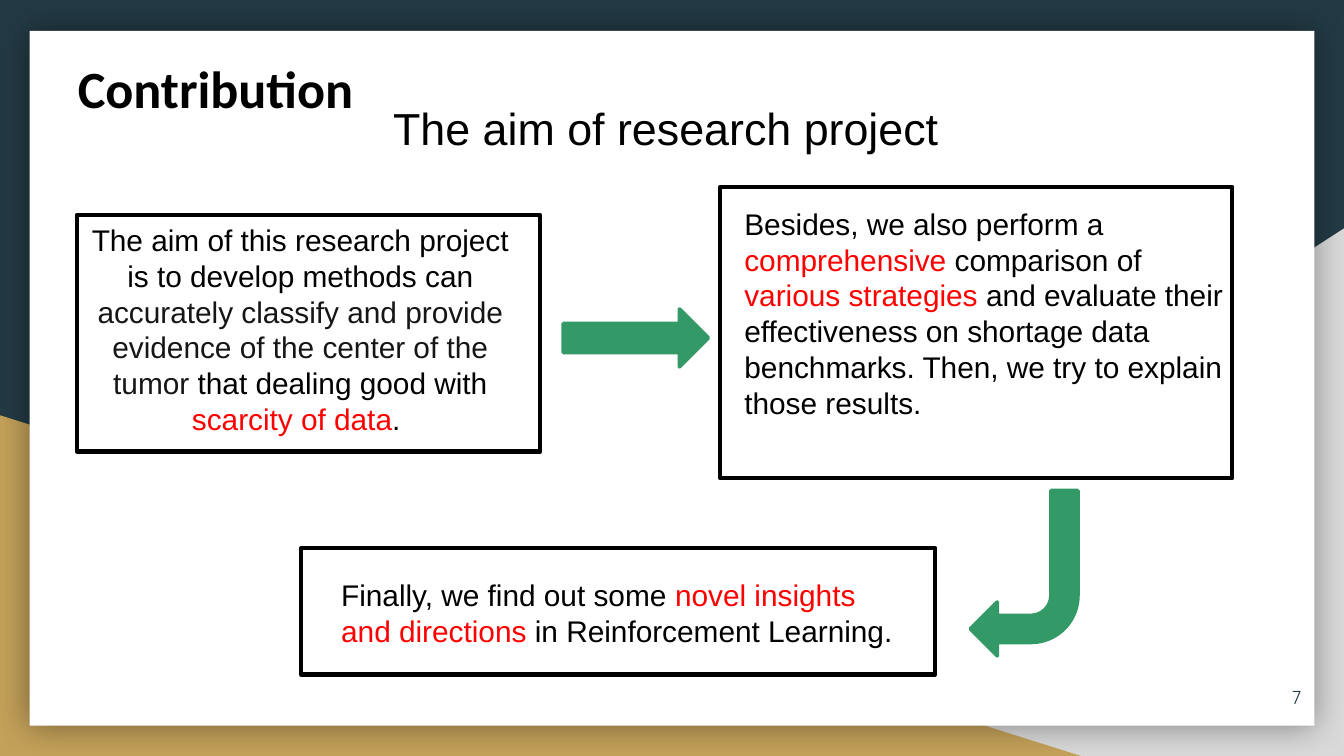
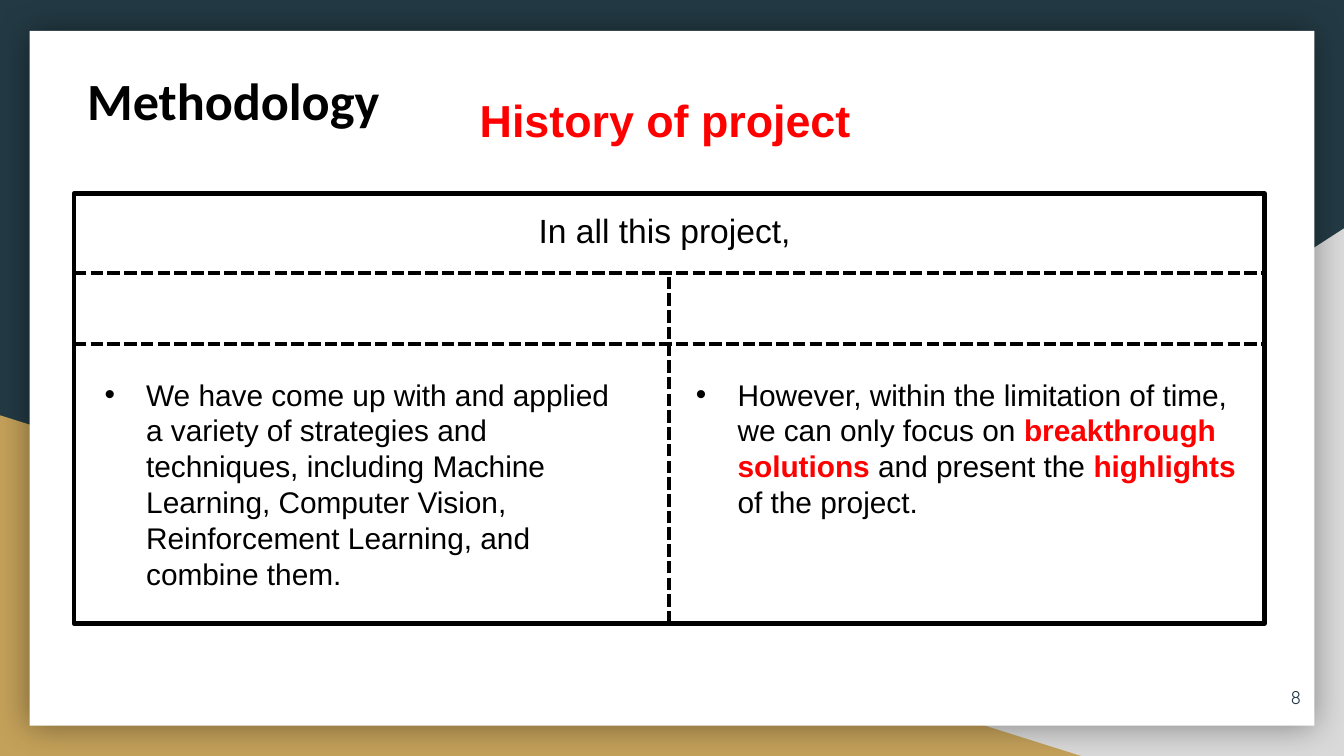
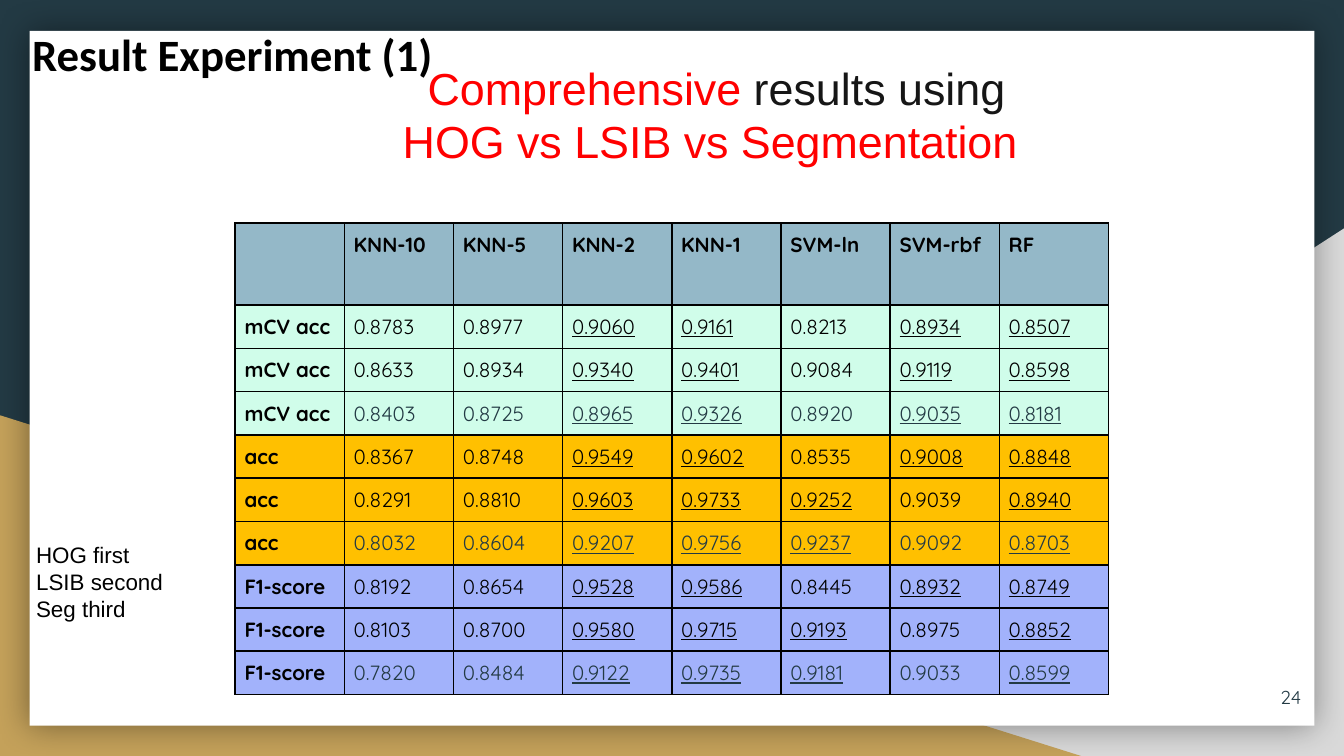
import pptx
import pptx.dml.color
import pptx.enum.dml
import pptx.enum.shapes
import pptx.enum.text
import pptx.oxml
import pptx.oxml.ns
import pptx.util
from pptx.util import Inches

SHAPE = pptx.enum.shapes.MSO_SHAPE
ALIGN = pptx.enum.text.PP_ALIGN
qn = pptx.oxml.ns.qn
DRAWING_NS = pptx.oxml.ns.nsdecls("a")

BLACK, WHITE, RED, CHARCOAL = "000000", "FFFFFF", "FF0000", "161616"
NAVY, SAND, SILVER, GREEN = "233A44", "C4A15A", "D9D9D9", "339966"
HEADER_BLUE, MINT, AMBER, LAVENDER = "94B8C8", "D0FDEA", "FFC000", "A2B2FB"
BODY_FONT, TITLE_FONT, DATA_FONT = "Arial", "Calibri", "Quicksand"
SLIDE_WIDTH = 10
SLIDE_HEIGHT = SLIDE_WIDTH * 9 / 16
LINE_WIDTH = 2.25

MODELS = ["KNN-10", "KNN-5", "KNN-2", "KNN-1", "SVM-ln", "SVM-rbf", "RF"]
RESULTS = [
    ("mCV acc", MINT, [
        ("0.8783 0.8977 0.9060 0.9161 0.8213 0.8934 0.8507", (3, 4, 6, 7)),
        ("0.8633 0.8934 0.9340 0.9401 0.9084 0.9119 0.8598", (3, 4, 6, 7)),
        ("0.8403 0.8725 0.8965 0.9326 0.8920 0.9035 0.8181", (3, 4, 6, 7)),
    ]),
    ("acc", AMBER, [
        ("0.8367 0.8748 0.9549 0.9602 0.8535 0.9008 0.8848", (3, 4, 6, 7)),
        ("0.8291 0.8810 0.9603 0.9733 0.9252 0.9039 0.8940", (3, 4, 5, 7)),
        ("0.8032 0.8604 0.9207 0.9756 0.9237 0.9092 0.8703", (3, 4, 5, 7)),
    ]),
    ("F1-score", LAVENDER, [
        ("0.8192 0.8654 0.9528 0.9586 0.8445 0.8932 0.8749", (3, 4, 6, 7)),
        ("0.8103 0.8700 0.9580 0.9715 0.9193 0.8975 0.8852", (3, 4, 5, 7)),
        ("0.7820 0.8484 0.9122 0.9735 0.9181 0.9033 0.8599", (3, 4, 5, 7)),
    ]),
]


def rgb(code):
    """Turn a hex string into a colour."""
    return pptx.dml.color.RGBColor.from_string(code)


def add_run(paragraph, text, size, color=BLACK, bold=False, font=BODY_FONT, underline=False):
    """Add one styled run to a paragraph."""
    run = paragraph.add_run()
    run.text = text
    run.font.size = pptx.util.Pt(size)
    run.font.name = font
    run.font.bold = bold
    run.font.underline = underline
    run.font.color.rgb = rgb(color)


def add_text(shapes, box, runs, size, align=ALIGN.LEFT, font=BODY_FONT, inset=None, grow=True):
    """Add a wrapping text box with one paragraph of (text, colour, bold) runs."""
    frame = shapes.add_textbox(*map(Inches, box)).text_frame
    frame.word_wrap = True
    if grow:
        frame.auto_size = pptx.enum.text.MSO_AUTO_SIZE.SHAPE_TO_FIT_TEXT
    if inset is not None:
        frame.margin_top = frame.margin_bottom = Inches(inset)
    paragraph = frame.paragraphs[0]
    paragraph.alignment = align
    for text, *style in runs:
        add_run(paragraph, text, size, *style, font=font)
    return frame


def add_preset(shapes, kind, box, fill, line=None, width=LINE_WIDTH):
    """Add a filled preset shape without a shadow."""
    shape = shapes.add_shape(kind, *map(Inches, box))
    shape.shadow.inherit = False
    shape.fill.solid()
    shape.fill.fore_color.rgb = rgb(fill)
    if line:
        shape.line.color.rgb = rgb(line)
        shape.line.width = pptx.util.Pt(width)
    else:
        shape.line.fill.background()
    return shape


def add_dashed_line(shapes, start, end):
    """Add a dashed black rule between two points."""
    rule = shapes.add_connector(pptx.enum.shapes.MSO_CONNECTOR.STRAIGHT,
                                *map(Inches, (*start, *end)))
    rule.line.color.rgb = rgb(BLACK)
    rule.line.width = pptx.util.Pt(LINE_WIDTH)
    rule.line.dash_style = pptx.enum.dml.MSO_LINE.SQUARE_DOT
    rule._element.spPr.append(pptx.oxml.parse_xml(f"<a:effectLst {DRAWING_NS}/>"))
    return rule


def add_paper_shadow(paper):
    """Give the white sheet its soft shadow."""
    effects = paper._element.spPr.find(qn("a:effectLst"))
    effects.append(pptx.oxml.parse_xml(
        f'<a:outerShdw {DRAWING_NS} blurRad="{pptx.util.Pt(18)}" dist="0" dir="0" algn="ctr" '
        f'rotWithShape="0"><a:srgbClr val="{BLACK}"><a:alpha val="40000"/></a:srgbClr>'
        '</a:outerShdw>'))


def start_slide(deck, title, title_box, page, title_size=28):
    """Add a slide with the shared backdrop, title and page number."""
    slide = deck.slides.add_slide(deck.slide_layouts[6])
    slide.background.fill.solid()
    slide.background.fill.fore_color.rgb = rgb(NAVY)
    shapes = slide.shapes
    silver_corner = add_preset(shapes, SHAPE.RIGHT_TRIANGLE, (3.92, 1.7, 6.08, 3.93), SILVER)
    silver_corner._element.spPr.find(qn("a:xfrm")).set("flipH", "1")
    add_preset(shapes, SHAPE.RIGHT_TRIANGLE, (0, 3.09, 8.06, 2.54), SAND)
    add_paper_shadow(add_preset(shapes, SHAPE.RECTANGLE, (0.22, 0.23, 9.56, 5.17), WHITE))
    heading = add_text(shapes, title_box, [(title, BLACK, True)], title_size,
                       font=TITLE_FONT, inset=0.1)
    heading.paragraphs[0]._p.get_or_add_pPr().set("marL", str(Inches(0.14)))
    number = add_text(shapes, (9.18, 4.97, 0.6, 0.43), [(page, NAVY)], 10, ALIGN.RIGHT,
                      DATA_FONT, 0.1, grow=False)
    number.vertical_anchor = pptx.enum.text.MSO_ANCHOR.MIDDLE
    return shapes


def add_panel(shapes, box, text_box, runs, align=ALIGN.LEFT):
    """Group an outlined panel with text placed relative to its corner."""
    panel = shapes.add_group_shape().shapes
    left, top = box[:2]
    dx, dy, width, height = text_box
    add_preset(panel, SHAPE.RECTANGLE, box, WHITE, BLACK)
    add_text(panel, (left + dx, top + dy, width, height), runs, 16, align)


def add_bullet_text(shapes, box, runs):
    """Add one bulleted paragraph with a hanging indent."""
    paragraph = add_text(shapes, box, runs, 16).paragraphs[0]
    properties = paragraph._p.get_or_add_pPr()
    properties.set("marL", str(Inches(0.31)))
    properties.set("indent", str(-Inches(0.31)))
    for element in (f'<a:buClr {DRAWING_NS}><a:srgbClr val="{BLACK}"/></a:buClr>',
                    f'<a:buFont {DRAWING_NS} typeface="{BODY_FONT}"/>',
                    f'<a:buChar {DRAWING_NS} char="•"/>'):
        properties.append(pptx.oxml.parse_xml(element))


def add_history_grid(shapes, box):
    """Add the framed two-column history with dashed dividers."""
    left, top, width, height = box
    frame = add_preset(shapes, SHAPE.RECTANGLE, box, WHITE, BLACK)
    middle = left + width / 2
    divider = add_dashed_line(shapes, (middle, top + height), (middle, top + 0.58))
    divider.begin_connect(frame, 2)
    for drop in (0.59, 1.12):
        add_dashed_line(shapes, (left, top + drop), (left + width, top + drop))
    add_text(shapes, (left, top + 0.07, width, 0.4), [("In all this project, ",)], 18,
             ALIGN.CENTER)
    add_bullet_text(shapes, (left + 0.13, top + 1.31, 4.03, 1.72), [
        ("We have come up with and applied a variety of strategies and techniques, including "
         "Machine Learning, Computer Vision, Reinforcement Learning, and combine them.",)])
    add_bullet_text(shapes, (left + 4.53, top + 1.31, 4.27, 1.18), [
        ("However, within the limitation of time, we can only focus on ",),
        ("breakthrough solutions", RED, True),
        (" and present the ",),
        ("highlights", RED, True),
        (" of the project.",)])


def style_cell(cell, fill):
    """Set the margins, thin black borders and fill of a table cell."""
    cell.margin_left = cell.margin_right = Inches(0.07)
    cell.margin_top = cell.margin_bottom = pptx.util.Pt(4.8)
    properties = cell._tc.get_or_add_tcPr()
    for side in "LRTB":
        properties.append(pptx.oxml.parse_xml(
            f'<a:ln{side} {DRAWING_NS} w="{pptx.util.Pt(1)}"><a:solidFill>'
            f'<a:srgbClr val="{BLACK}"/></a:solidFill></a:ln{side}>'))
    cell.fill.solid()
    cell.fill.fore_color.rgb = rgb(fill)


def add_results_table(shapes, box):
    """Add the scores of each metric, with the dimmed third method."""
    row_count = 1 + sum(len(methods) for _, _, methods in RESULTS)
    column_count = 1 + len(MODELS)
    header_height = 0.61
    table = shapes.add_table(row_count, column_count, *map(Inches, box)).table
    table.first_row = table.horz_banding = False
    for column in table.columns:
        column.width = Inches(box[2] / column_count)
    for row in table.rows:
        row.height = Inches((box[3] - header_height) / (row_count - 1))
    table.rows[0].height = Inches(header_height)

    for index in range(column_count):
        cell = table.cell(0, index)
        style_cell(cell, HEADER_BLUE)
        if index:
            add_run(cell.text_frame.paragraphs[0], MODELS[index - 1], 11, BLACK, True, DATA_FONT)
    row_index = 0
    for metric, fill, methods in RESULTS:
        for method, (scores, underlined) in enumerate(methods):
            row_index += 1
            for index, text in enumerate([metric, *scores.split()]):
                cell = table.cell(row_index, index)
                style_cell(cell, fill)
                color = NAVY if index and method == 2 else BLACK
                add_run(cell.text_frame.paragraphs[0], text, 11, color, index == 0, DATA_FONT,
                        index in underlined)


def build_contribution(deck):
    """Build the slide on the aim of the project."""
    shapes = start_slide(deck, "Contribution", (0.34, 0.32, 3.35, 0.67), "7")
    add_text(shapes, (2.78, 0.7, 4.44, 0.5), [("The aim of research project ",)], 24,
             ALIGN.CENTER)
    add_panel(shapes, (0.57, 1.6, 3.45, 1.76), (-0.06, 0, 3.45, 1.72), [
        ("The aim of this research project is to develop methods can ",),
        ("accurately classify and provide evidence of the center of the tumor ", CHARCOAL),
        ("that dealing good with ",),
        ("scarcity of data", RED),
        (". ",)], ALIGN.CENTER)
    add_panel(shapes, (5.36, 1.39, 3.81, 2.17), (0.08, 0.09, 3.89, 1.72), [
        ("Besides, we also perform a ",),
        ("comprehensive", RED),
        (" comparison of ",),
        ("various strategies ", RED),
        ("and evaluate their effectiveness on shortage data benchmarks. "
         "Then, we try to explain those results.",)])
    add_panel(shapes, (2.24, 4.08, 4.72, 0.94), (0.2, 0.16, 4.4, 0.64), [
        ("Finally, we find out some ",),
        ("novel insights and directions ", RED),
        ("in Reinforcement Learning.",)])
    add_preset(shapes, SHAPE.RIGHT_ARROW, (4.19, 2.3, 1.08, 0.43), GREEN, GREEN, 2)
    turn = add_preset(shapes, SHAPE.BENT_ARROW, (7.22, 3.65, 0.8, 1.23), GREEN, GREEN, 2)
    turn.rotation = 180


def build_methodology(deck):
    """Build the slide on the history of the project."""
    shapes = start_slide(deck, "Methodology", (0.41, 0.41, 3.35, 0.67), "8")
    add_text(shapes, (2.97, 0.64, 4.05, 0.5), [("History of project ", RED, True)], 24,
             ALIGN.CENTER)
    add_history_grid(shapes, (0.55, 1.44, 8.86, 3.2))


def build_results(deck):
    """Build the slide with the table of scores."""
    shapes = start_slide(deck, "Result Experiment (1)", (0, 0.1, 4.15, 0.61), "24", 24)
    add_text(shapes, (2.84, 0.4, 4.98, 0.91), [
        ("Comprehensive", RED),
        (" results using ", CHARCOAL),
        ("HOG vs LSIB vs Segmentation ", RED)], 24, ALIGN.CENTER)
    add_results_table(shapes, (1.75, 1.66, 6.5, 3.51))
    legend = add_text(shapes, (0.17, 3.98, 1.55, 0.71), [("HOG first",)], 12)
    legend.paragraphs[0].add_line_break()
    add_run(legend.paragraphs[0], "LSIB second", 12)
    add_run(legend.add_paragraph(), "Seg third", 12)


def main():
    """Build and save the deck."""
    deck = pptx.Presentation()
    deck.slide_width = Inches(SLIDE_WIDTH)
    deck.slide_height = Inches(SLIDE_HEIGHT)
    build_contribution(deck)
    build_methodology(deck)
    build_results(deck)
    deck.save("out.pptx")


if __name__ == "__main__":
    main()
